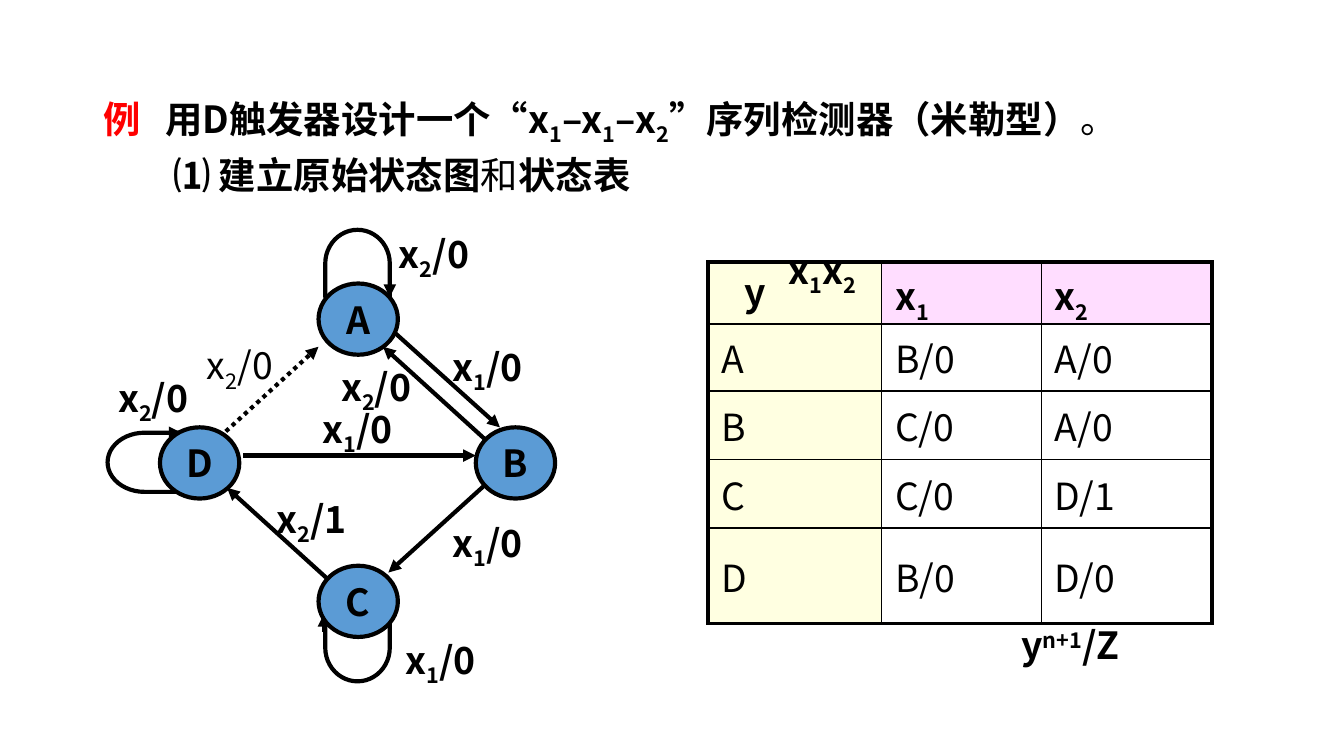
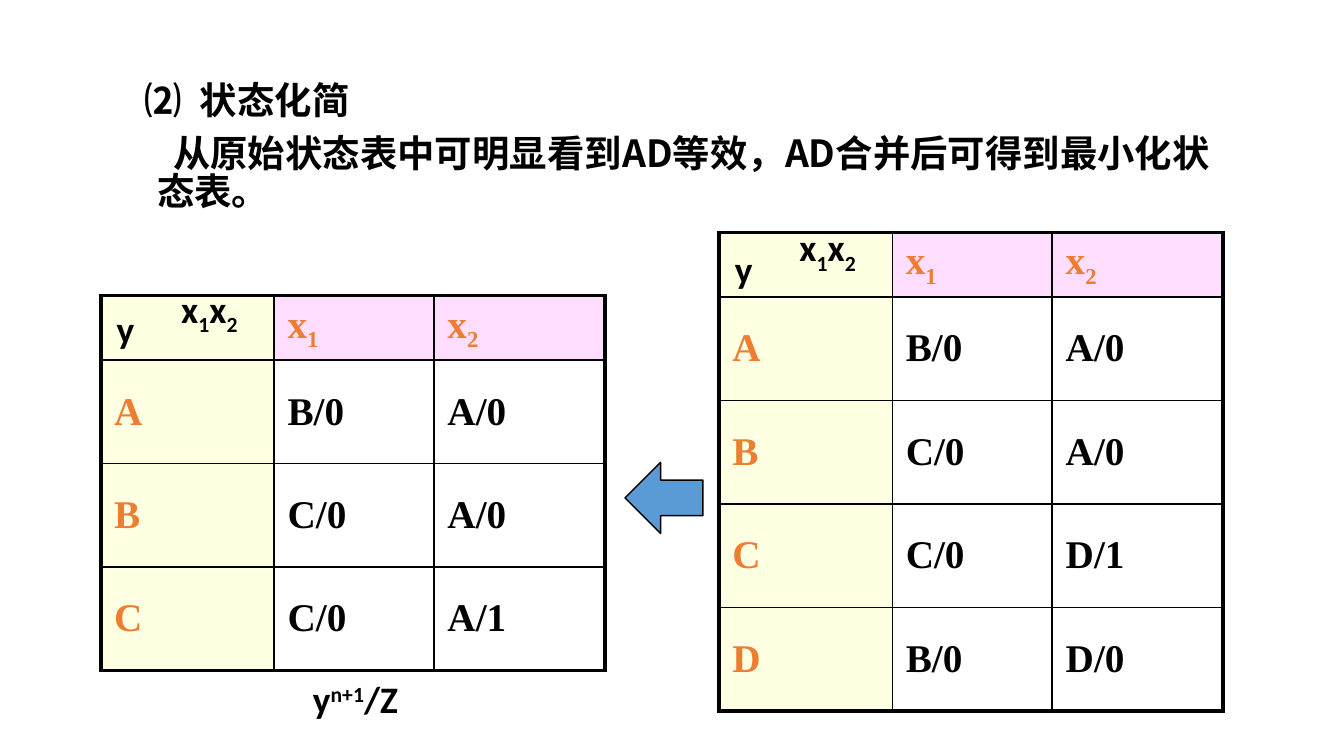
import pptx
import pptx.dml.color
import pptx.enum.dml
import pptx.enum.shapes
import pptx.enum.text
import pptx.oxml.ns
import pptx.util
from lxml import etree

EMU_PER_PX = 9144
SLIDE_WIDTH = 1000
BLACK = pptx.dml.color.RGBColor(0x00, 0x00, 0x00)
WHITE = pptx.dml.color.RGBColor(0xFF, 0xFF, 0xFF)
RED = pptx.dml.color.RGBColor(0xFF, 0x00, 0x00)
BLUE = pptx.dml.color.RGBColor(0x5B, 0x9B, 0xD5)
ORANGE = pptx.dml.color.RGBColor(0xED, 0x7D, 0x31)
CREAM = pptx.dml.color.RGBColor(0xFF, 0xFF, 0xE1)
PINK = pptx.dml.color.RGBColor(0xFF, 0xDD, 0xFF)

HEADING = {"size": pptx.util.Pt(20), "bold": True, "name": "Noto Sans CJK JP"}
DIAGRAM = {**HEADING, "name": "Noto Sans CJK SC"}
DIAGRAM_PLAIN = {**DIAGRAM, "bold": False}
CAPTION = {**HEADING, "name": "Calibri"}
TABLE_SERIF = {"size": pptx.util.Pt(21), "bold": True, "name": "Times New Roman"}

SUBSCRIPT = -25000
SUPERSCRIPT = 30000
THICK = 2.25
THIN = 1
COLUMN_WIDTHS = (129, 119, 127)
NODE_WIDTH, NODE_HEIGHT = 59, 53

MSO_SHAPE = pptx.enum.shapes.MSO_SHAPE
ALIGN = pptx.enum.text.PP_ALIGN
ANCHOR = pptx.enum.text.MSO_ANCHOR


def px(value):
    return pptx.util.Emu(value * EMU_PER_PX)


def add_xml(parent, tag, **attributes):
    return etree.SubElement(parent, pptx.oxml.ns.qn(tag), attributes)


def set_values(target, values):
    for name, value in values.items():
        setattr(target, name, value)


def add_run(paragraph, text, style, color=BLACK, baseline=0):
    run = paragraph.add_run()
    run.text = text
    set_values(run.font, style)
    run.font.color.rgb = color
    properties = run._r.get_or_add_rPr()
    add_xml(properties, "a:ea", typeface=style["name"])
    if baseline:
        properties.set("baseline", str(baseline))


def add_indexed_runs(paragraph, text, style, color=BLACK, shift=SUBSCRIPT):
    for position, part in enumerate(text.split("|")):
        if part:
            add_run(paragraph, part, style, color, shift if position % 2 else 0)


def add_text_box(slide, left, top, width, height):
    shape = slide.shapes.add_textbox(px(left), px(top), px(width), px(height))
    shape.text_frame.word_wrap = True
    return shape.text_frame.paragraphs[0]


def add_label(slide, text, left, top, width, style, shift=SUBSCRIPT):
    paragraph = add_text_box(slide, left, top, width, 49)
    add_indexed_runs(paragraph, text, style, shift=shift)


def set_tab_stop(paragraph, position):
    stops = add_xml(paragraph._p.get_or_add_pPr(), "a:tabLst")
    add_xml(stops, "a:tab", pos=str(px(position)), algn="l")


def add_outlined_shape(slide, kind, left, top, width, height, weight, fill=None):
    shape = slide.shapes.add_shape(kind, px(left), px(top), px(width), px(height))
    shape.shadow.inherit = False
    if fill is None:
        shape.fill.background()
    else:
        shape.fill.solid()
        shape.fill.fore_color.rgb = fill
    shape.line.color.rgb = BLACK
    shape.line.width = pptx.util.Pt(weight)
    return shape


def add_state(slide, name, left, top):
    shape = add_outlined_shape(
        slide, MSO_SHAPE.OVAL, left, top, NODE_WIDTH, NODE_HEIGHT, THICK, BLUE
    )
    set_values(shape.text_frame, {"word_wrap": False, "vertical_anchor": ANCHOR.MIDDLE})
    paragraph = shape.text_frame.paragraphs[0]
    paragraph.alignment = ALIGN.CENTER
    add_run(paragraph, name, DIAGRAM)


def add_arrow(slide, start, end, dotted=False):
    connector = slide.shapes.add_connector(
        pptx.enum.shapes.MSO_CONNECTOR.STRAIGHT, *map(px, start + end)
    )
    connector.line.color.rgb = BLACK
    connector.line.width = pptx.util.Pt(THICK)
    if dotted:
        connector.line.dash_style = pptx.enum.dml.MSO_LINE.ROUND_DOT
    add_xml(connector.line._get_or_add_ln(), "a:tailEnd", type="triangle")
    add_xml(connector._element.spPr, "a:effectLst")


def add_loop(slide, frame, rotation, start, end):
    shape = add_outlined_shape(slide, MSO_SHAPE.FLOWCHART_DELAY, *frame, THICK)
    shape.rotation = rotation
    add_arrow(slide, start, end)


def set_borders(cell, weights):
    properties = cell._tc.get_or_add_tcPr()
    for position, (side, weight) in enumerate(weights.items()):
        line = add_xml(properties, "a:ln" + side, w=str(pptx.util.Pt(weight)))
        add_xml(add_xml(line, "a:solidFill"), "a:srgbClr", val=str(BLACK))
        properties.insert(position, line)


def add_state_table(slide, left, top, heights, rows, head, body, accent):
    rows = [("", "x|1|", "x|2|")] + rows
    table = slide.shapes.add_table(
        len(rows), len(COLUMN_WIDTHS), px(left), px(top),
        px(sum(COLUMN_WIDTHS)), px(sum(heights)),
    ).table
    set_values(table, {"first_row": False, "horz_banding": False})
    for column, width in zip(table.columns, COLUMN_WIDTHS):
        column.width = px(width)
    for row, height in zip(table.rows, heights):
        row.height = px(height)
    last_row, last_column = len(rows) - 1, len(COLUMN_WIDTHS) - 1
    for y, texts in enumerate(rows):
        for x, text in enumerate(texts):
            cell = table.cell(y, x)
            set_values(cell, {
                "margin_left": px(10), "margin_right": px(10),
                "margin_top": px(4), "margin_bottom": px(4),
                "vertical_anchor": ANCHOR.MIDDLE,
            })
            cell.fill.solid()
            cell.fill.fore_color.rgb = CREAM if x == 0 else WHITE if y else PINK
            set_borders(cell, {
                "L": THIN if x else THICK,
                "R": THICK if x == last_column else THIN,
                "T": THIN if y else THICK,
                "B": THICK if y == last_row else THIN,
            })
            color = BLACK if x and y else accent
            add_indexed_runs(cell.text_frame.paragraphs[0], text,
                             body if y else head, color)


def add_state_diagram(slide):
    for start, end in (
        ((181, 339), (354, 339)),
        ((364, 358), (289, 426)),
        ((244, 431), (169, 363)),
        ((292, 246), (372, 318)),
        ((361, 327), (285, 258)),
    ):
        add_arrow(slide, start, end)
    add_arrow(slide, (168, 321), (237, 258), dotted=True)
    add_loop(slide, (241, 172, 50, 48), 270, (290, 209), (290, 221))
    add_loop(slide, (241, 458, 50, 48), 90, (241, 470), (241, 457))
    add_loop(slide, (80, 322, 55, 44), 180, (121, 322), (135, 322))
    for text, left, top in (
        ("x|2|/0", 287, 167),
        ("x|1|/0", 327, 251),
        ("x|2|/0", 244, 266),
        ("x|1|/0", 327, 382),
        ("x|1|/0", 292, 469),
        ("x|2|/1", 196, 364),
        ("x|2|/0", 78, 274),
        ("x|1|/0", 230, 297),
    ):
        add_label(slide, text, left, top, 98, DIAGRAM)
    add_label(slide, "x|2|/0", 144, 250, 104, DIAGRAM_PLAIN)
    for name, left, top in (
        ("A", 237, 211), ("B", 354, 318), ("C", 237, 421), ("D", 119, 318),
    ):
        add_state(slide, name, left, top)


def build_original_states(slide):
    title = add_text_box(slide, 67, 67, 933, 69)
    title.line_spacing = 0.9
    set_tab_stop(title, 46)
    add_run(title, "例\t", HEADING, RED)
    add_indexed_runs(title, "用D触发器设计一个“x|1|–x|1|–x|2|”序列检测器（米勒型）", HEADING)
    add_run(title, "。", {**HEADING, "bold": False})

    step = add_text_box(slide, 119, 108, 596, 44)
    for text, bold in (("⑴ 建立原始状态图", True), ("和", False), ("状态表", True)):
        add_run(step, text, {**HEADING, "bold": bold})

    add_label(slide, "y|n+1|/Z", 750, 458, 117, DIAGRAM, SUPERSCRIPT)
    add_state_diagram(slide)
    rows = [("A", "B/0", "A/0"), ("B", "C/0", "A/0"),
            ("C", "C/0", "D/1"), ("D", "B/0", "D/0")]
    add_state_table(slide, 527, 195, (43, 50, 51, 51, 71), rows,
                    DIAGRAM, DIAGRAM_PLAIN, BLACK)
    add_label(slide, "x|1|x|2|", 577, 179, 117, DIAGRAM)
    add_label(slide, "y", 544, 195, 58, DIAGRAM)
    return rows


def build_reduced_states(slide, original_rows):
    title = add_text_box(slide, 98, 56, 283, 44)
    title.line_spacing = 0.9
    set_tab_stop(title, 41)
    add_run(title, "⑵\t状态化简", HEADING)

    body = add_text_box(slide, 88, 97, 822, 82)
    set_values(body, {"line_spacing": 0.85, "space_before": pptx.util.Pt(7)})
    body._p.get_or_add_pPr().set("marL", str(px(19)))
    body._p.get_or_add_pPr().set("indent", str(px(12)))
    add_run(body, "从原始状态表中可明显看到AD等效，AD合并后可得到最小化状态表。", HEADING)

    reduced_rows = [("A", "B/0", "A/0"), ("B", "C/0", "A/0"), ("C", "C/0", "A/1")]
    for left, top, rows, x_label, y_label in (
        (535, 173, original_rows, (585, 162), (537, 178)),
        (75, 220, reduced_rows, (125, 208), (77, 223)),
    ):
        add_state_table(slide, left, top, [48] + [77] * len(rows), rows,
                        TABLE_SERIF, TABLE_SERIF, ORANGE)
        add_label(slide, "x|1|x|2|", *x_label, 117, CAPTION)
        add_label(slide, "y", *y_label, 58, CAPTION)
    add_label(slide, "y|n+1|/Z", 223, 498, 117, CAPTION, SUPERSCRIPT)
    add_outlined_shape(slide, MSO_SHAPE.LEFT_ARROW, 465, 344, 58, 53, 0.75, BLUE)


def main():
    presentation = pptx.Presentation()
    set_values(presentation, {
        "slide_width": px(SLIDE_WIDTH),
        "slide_height": pptx.util.Emu(px(SLIDE_WIDTH) * 9 // 16),
    })
    blank = presentation.slide_layouts[6]
    rows = build_original_states(presentation.slides.add_slide(blank))
    build_reduced_states(presentation.slides.add_slide(blank), rows)
    presentation.save("out.pptx")


if __name__ == "__main__":
    main()
